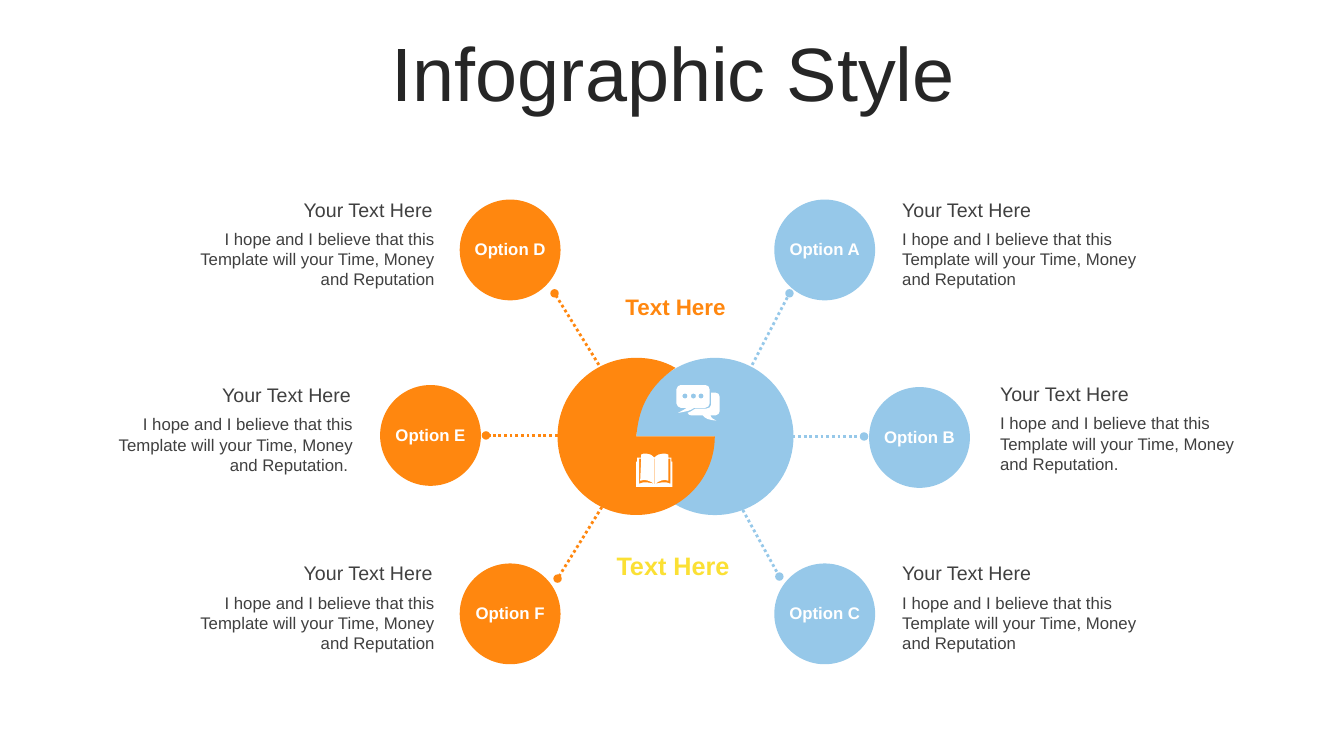
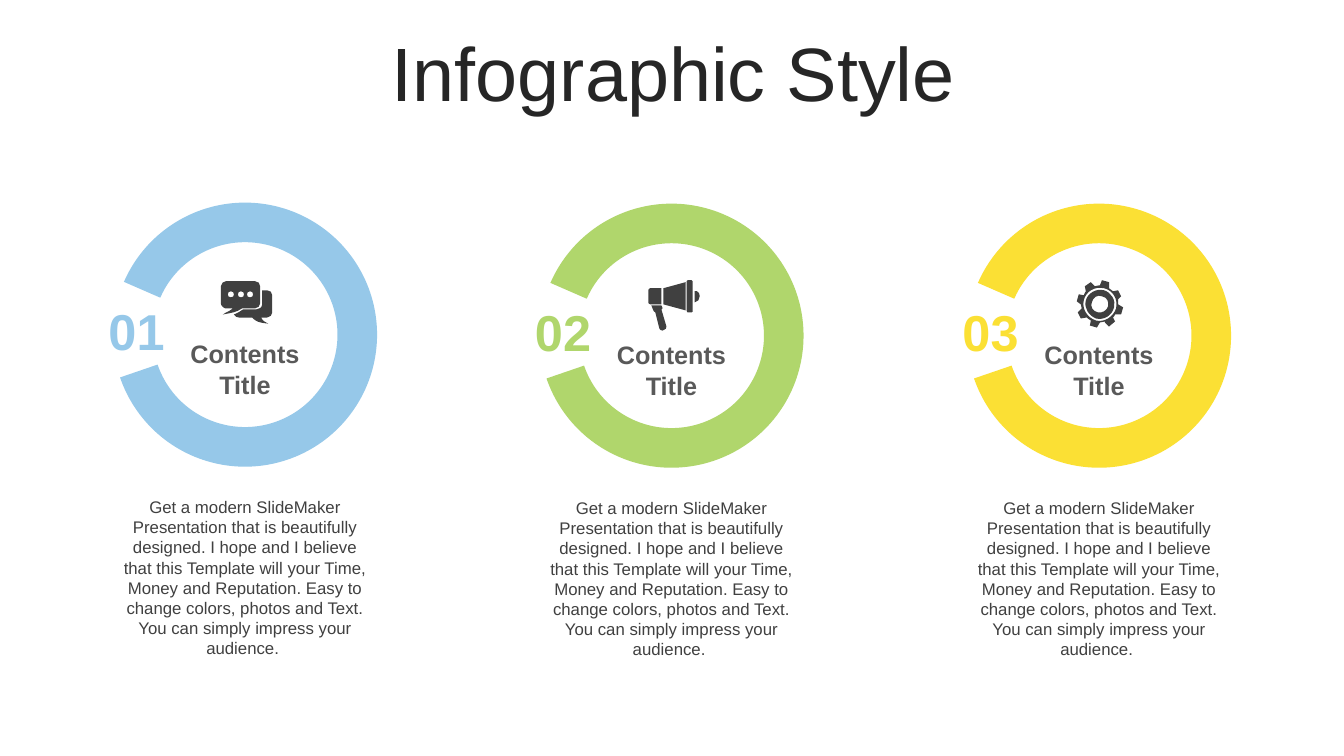
"""Build two infographic slides: a six-option hub and three numbered rings."""
from lxml import etree
from pptx import Presentation
from pptx.dml.color import RGBColor as RGB
from pptx.enum.dml import MSO_LINE as Dash
from pptx.enum.shapes import MSO_CONNECTOR as Link, MSO_SHAPE as Form
from pptx.enum.text import MSO_ANCHOR as Anchor, MSO_AUTO_SIZE as Fit, PP_ALIGN as Align
from pptx.oxml.ns import qn
from pptx.util import Inches, Pt

HUES = {
    "blue": "96C8E9", "orange": "FF870F", "green": "B0D66C", "yellow": "FBE034",
    "white": "FFFFFF", "title": "262626", "text": "404040", "grey": "595959",
}
FONT = "Arial"

DOTS = "/".join(
    f"{x} 10, {x - 2} 10 {x - 3} 11 {x - 3} 13, {x - 3} 15 {x - 2} 16 {x} 16,"
    f"{x + 2} 16 {x + 3} 15 {x + 3} 13, {x + 3} 11 {x + 2} 10 {x} 10"
    for x in (29, 20, 10)
)
CHAT = DOTS + (
    "/41 9, 46 9, 49 9 51 11 51 14, 51 31, 51 33 49 36 46 36, 40 36, 41 38 41 39 47 42,"
    "37 41 35 40 31 36, 18 36, 16 36 14 35 13 33, 16 32 19 30 22 28, 35 28, 38 28 41 26 41 23"
    "/5 0, 34 0, 37 0 39 2 39 5, 39 22, 39 24 37 27 34 27, 21 27, 15 31 12 31 2 33,"
    "8 29 9 30 12 27, 5 27, 3 27 0 24 0 22, 0 5, 0 2 3 0 5 0"
)
BOOK = (
    "0 33, 0 8, 1 8, 1 4, 5 4, 5 1, 6 0 8 0 10 0, 13 0 15 1 18 4, 21 1 24 0 27 0,"
    "28 0 30 0 32 1, 32 4, 35 4, 35 8, 36 8, 36 33"
    "/3 5, 5 5, 4 27, 9 25 13 27 18 30, 12 29 9 27 3 30"
    "/34 5, 32 5, 32 27, 28 25 23 27 19 30, 25 29 27 27 34 30"
    "/18 5, 18.5 5, 18.5 30, 18 30"
)
HORN = (
    "13 25, 14 27, 14 28 14 29 13 29, 18 46, 18 48 17 49 16 49, 14 50, 13 50 11 49 11 48,"
    "7 32, 6 31 5 31 5 30, 3 25"
    "/46 11, 49 10 51 13 51 16, 51 19 49 22 46 22, 46 18 46 14 46 11"
    "/2 8, 13 8, 13 24, 2 24, 1 24 0 23 0 22, 0 10, 0 9 1 8 2 8"
    "/37 2, 37 30, 15 24, 15 8"
    "/39 0, 43 0, 44 0 44 0 44 1, 44 30, 44 31 44 32 43 32, 39 32, 39 32 38 31 38 30,"
    "38 1, 38 0 39 0 39 0"
)
GEAR = (
    "25 16, 21 14 16 17 15 22, 13 26 16 31 21 32, 25 33 30 30 31 26, 32 21 30 17 25 16"
    "/27 10, 34 12 39 20 37 27, 35 35 27 40 19 38, 12 35 7 28 9 20, 11 13 19 8 27 10"
    "/27 8, 18 6 9 11 7 20, 5 28 10 37 19 40, 27 42 36 37 39 28, 41 19 36 10 27 8"
    "/32 2, 32 8, 33 9 35 10 36 11, 41 10, 44 16, 41 19, 41 21 41 23 41 24, 46 27, 44 34,"
    "38 34, 38 35 37 36 36 37, 38 41, 32 46, 28 42, 28 41, 26 42 25 42 23 42, 20 47, 13 45,"
    "14 40, 12 39 11 38 10 37, 4 38, 1 32, 5 28, 5 27 4 25 4 24, 0 21, 2 14, 7 15,"
    "8 13 8 12 9 11, 8 6, 14 2, 18 6, 19 6 21 5 23 5, 25 0"
)
HALF = (
    "156 78, 156 121 121 156 78 156, 35 156 0 121 0 78, 0 35 35 0 78 0,"
    "92 0 105 3 117 10, 82 34 80 63 78 78"
)


def write(slide, text, x, y, w, h, size, hue, align=Align.CENTER, bold=False):
    box = slide.shapes.add_textbox(Inches(x), Inches(y), Inches(w), Inches(h))
    frame = box.text_frame
    frame.word_wrap = True
    frame.text = text
    para = frame.paragraphs[0]
    para.alignment = align
    para.font.name, para.font.size, para.font.bold = FONT, Pt(size), bold
    para.font.color.rgb = RGB.from_string(HUES[hue])
    return frame


def draw(slide, path, x, y, scale=1):
    pen, bends = None, []
    for loop in path.split("/"):
        steps = []
        for step in loop.split(","):
            nums = [float(n) * scale / 100 for n in step.split()]
            spots = [(Inches(x + p), Inches(y + q)) for p, q in zip(nums[::2], nums[1::2])]
            steps.append(spots)
        ends = [spots[-1] for spots in steps]
        bends += [spots[:-1] for spots in steps[1:]]
        if pen is None:
            pen = slide.shapes.build_freeform(*ends[0], scale=1.0)
        else:
            pen.move_to(*ends[0])
        pen.add_line_segments(ends[1:], close=True)
    shape = pen.convert_to_shape()
    for node, bend in zip(list(shape._element.iter(qn("a:lnTo"))), bends):
        if bend:
            node.tag = qn("a:cubicBezTo")
        for k, (p, q) in enumerate(bend):
            spot = etree.Element(qn("a:pt"), x=str(p - shape.left), y=str(q - shape.top))
            node.insert(k, spot)
    return shape


deck = Presentation()
deck.slide_width, deck.slide_height = Inches(13.33), Inches(7.5)
hub, rings = [deck.slides.add_slide(deck.slide_layouts[5]) for _ in range(2)]
inks = []

for slide in (hub, rings):
    title = slide.shapes.title
    title.left, title.top, title.width, title.height = map(Inches, (0.35, 0.37, 12.66, 0.79))
    frame = title.text_frame
    frame.text = "Infographic Style"
    frame.auto_size = Fit.NONE
    frame.vertical_anchor = Anchor.MIDDLE
    para = frame.paragraphs[0]
    para.alignment, para.line_spacing = Align.CENTER, 0.9
    para.font.name, para.font.size = FONT, Pt(54)
    para.font.color.rgb = RGB.from_string(HUES["title"])

pie = hub.shapes.add_shape(Form.PIE, Inches(6.31), Inches(3.55), Inches(1.56), Inches(1.56))
pie.rotation = 180
pie.adjustments[0], pie.adjustments[1] = 0, 180.48
inks += [
    (pie, "blue"),
    (draw(hub, HALF, 5.53, 3.55), "orange"),
    (draw(hub, CHAT, 6.71, 3.82, 0.84), "white"),
    (draw(hub, BOOK, 6.31, 4.5), "white"),
]
write(hub, "Text Here", 6.06, 2.86, 1.28, 0.37, 16, "orange", bold=True)
write(hub, "Text Here", 6, 5.41, 1.35, 0.4, 18, "yellow", bold=True)

HOPE = "I hope and I believe that this Template will your Time, Money and Reputation"
left, right = ("orange", Align.RIGHT), ("blue", Align.LEFT)
options = [
    ("A", right, 7.68, 1.98, 8.85, 1.91, HOPE, (7.46, 3.62, 7.83, 2.91)),
    ("B", right, 8.62, 3.84, 9.82, 3.74, HOPE + ".", (7.86, 4.33, 8.57, 4.33)),
    ("C", right, 7.68, 5.59, 8.85, 5.52, HOPE, (7.34, 5.01, 7.73, 5.72)),
    ("D", left, 4.56, 1.98, 1.83, 1.91, HOPE, (5.94, 3.62, 5.5, 2.91)),
    ("E", left, 3.77, 3.82, 1.02, 3.75, HOPE + ". ", (5.53, 4.32, 4.82, 4.32)),
    ("F", left, 4.56, 5.59, 1.83, 5.52, HOPE, (5.97, 5.03, 5.53, 5.74)),
]
for name, (hue, align), x, y, tx, ty, note, ends in options:
    disc = hub.shapes.add_shape(Form.OVAL, Inches(x), Inches(y), Inches(1), Inches(1))
    inks.append((disc, hue))
    write(hub, f"Option {name}", x + 0.03, y + 0.34, 0.94, 0.3, 12, "white", bold=True)

    wire = hub.shapes.add_connector(Link.STRAIGHT, *map(Inches, ends))
    wire.line.color.rgb = RGB.from_string(HUES[hue])
    wire.line.width = Pt(2)
    wire.line.dash_style = Dash.ROUND_DOT
    etree.SubElement(wire.line._get_or_add_ln(), qn("a:tailEnd"), type="oval")
    etree.SubElement(wire._element.spPr, qn("a:effectLst"))

    write(hub, note, tx, ty + 0.31, 2.58, 0.71, 12, "text", align)
    write(hub, "Your Text Here", tx, ty, 2.56, 0.34, 14, "text", align)

STORY = (
    "Get a modern SlideMaker Presentation that is beautifully designed. "
    "I hope and I believe that this Template will your Time, Money and Reputation. "
    "Easy to change colors, photos and Text. You can simply impress your audience. "
)
columns = [
    ("01", "blue", 1.12, 2.01, CHAT, 2.19, 2.79),
    ("02", "green", 5.35, 2.02, HORN, 6.43, 2.78),
    ("03", "yellow", 9.59, 2.02, GEAR, 10.68, 2.78),
]
for label, hue, x, y, icon, ix, iy in columns:
    ring = rings.shapes.add_shape(
        Form.BLOCK_ARC, Inches(x), Inches(y), Inches(2.62), Inches(2.62)
    )
    for k, turn in enumerate((122.14, 96.65, 0.15)):
        ring.adjustments[k] = turn
    inks += [(ring, hue), (draw(rings, icon, ix, iy), "text")]
    frame = write(rings, label, x - 0.17, y + 0.92, 0.71, 0.71, 36, hue, bold=True)
    frame.margin_right = 0
    write(rings, STORY, x, y + 2.87, 2.62, 1.72, 12, "text")
    write(rings, "Contents Title", x + 0.54, y + 1.3, 1.54, 0.71, 18, "grey", bold=True)

for shape, hue in inks:
    shape.fill.solid()
    shape.fill.fore_color.rgb = RGB.from_string(HUES[hue])
    shape.line.fill.background()
    shape.shadow.inherit = False

deck.save("out.pptx")
